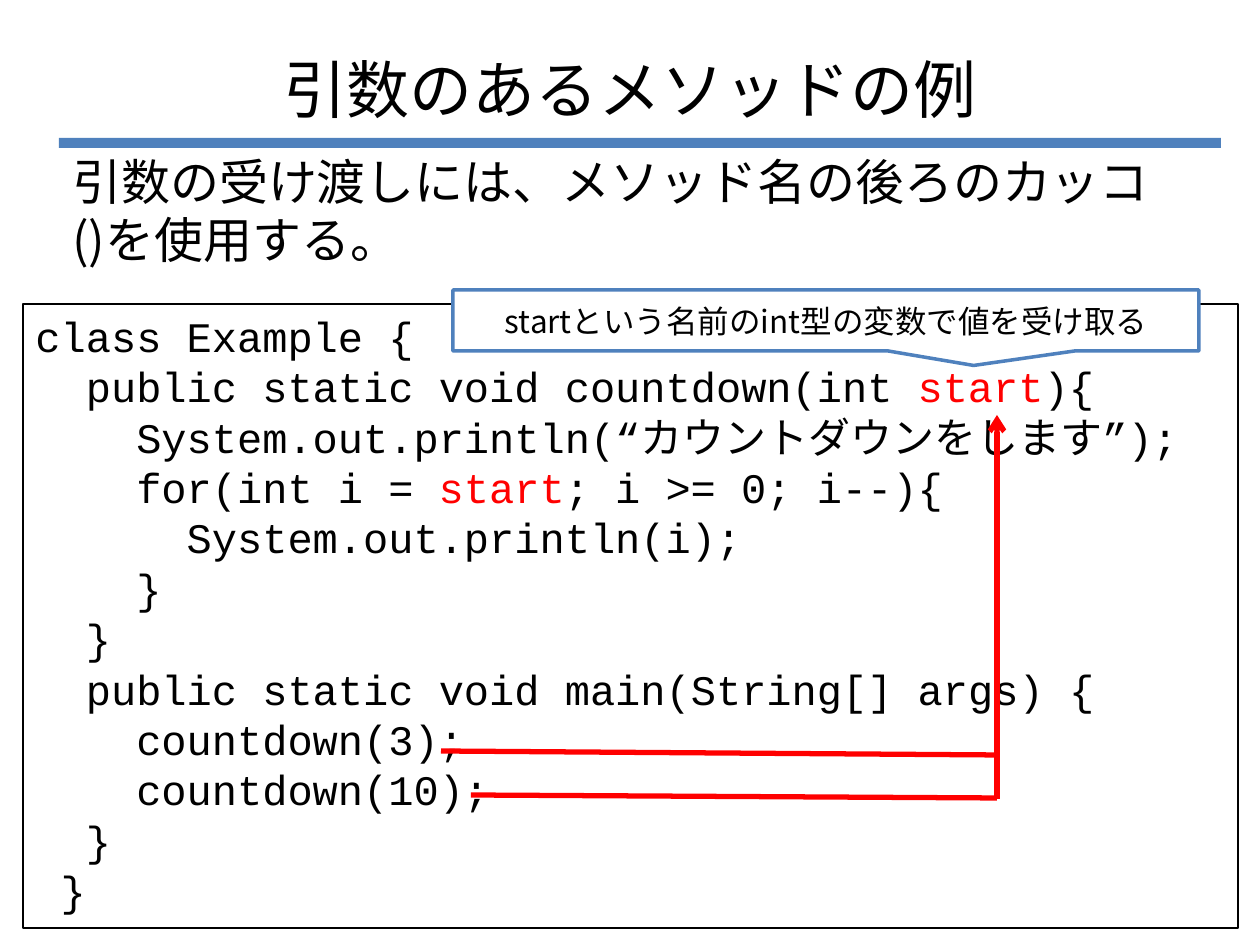
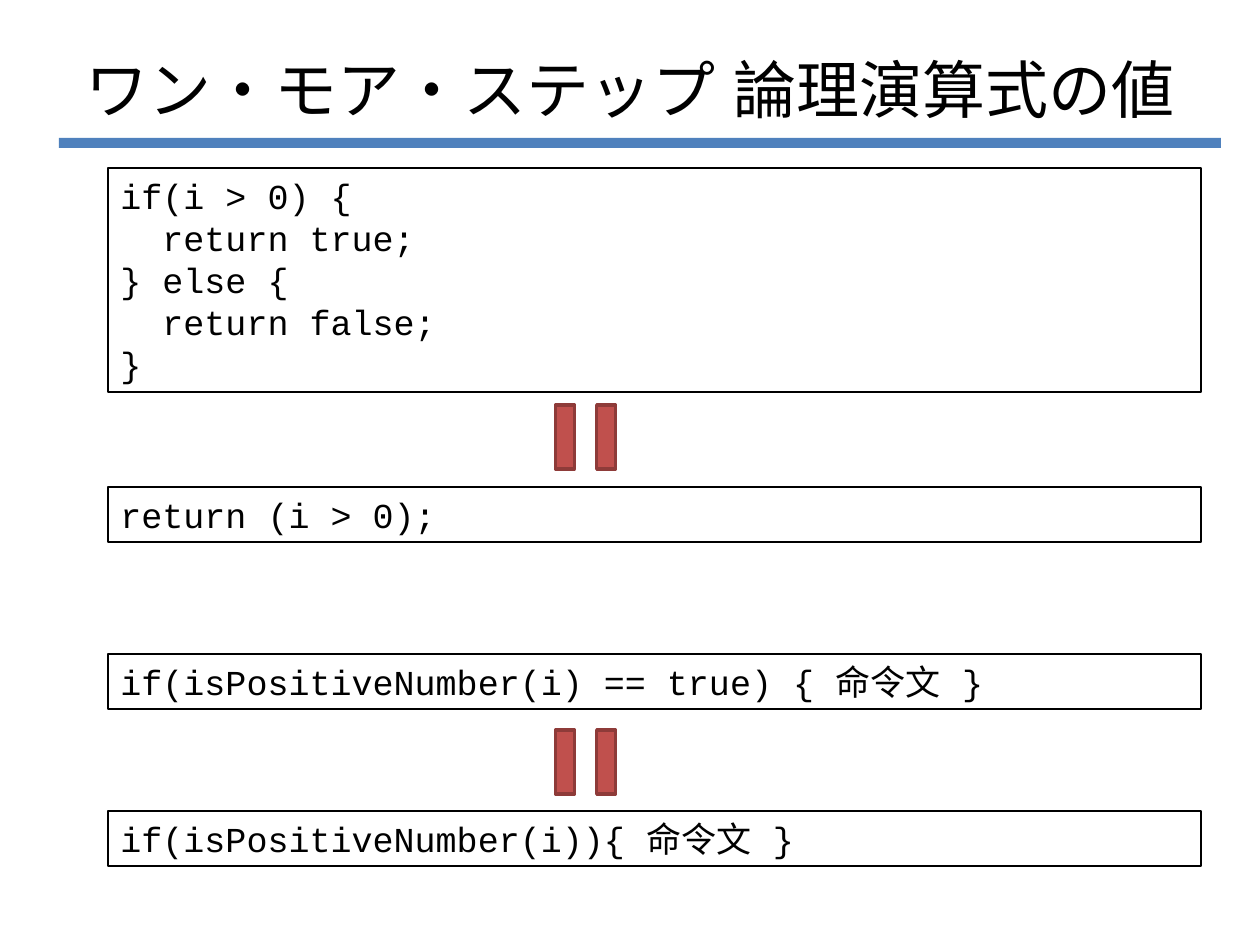
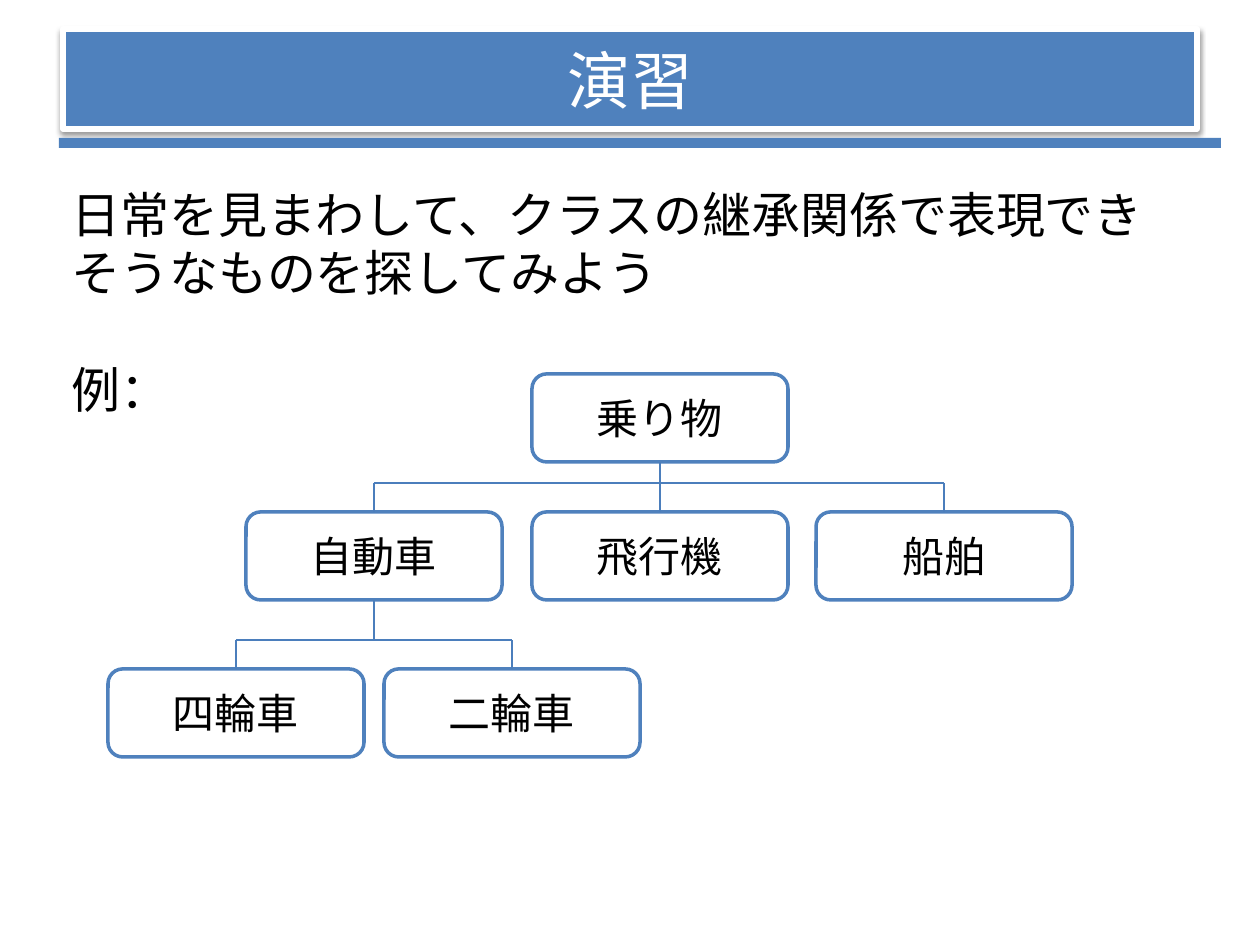
from lxml import etree
from pptx import Presentation
from pptx.dml.color import RGBColor
from pptx.enum.shapes import MSO_CONNECTOR, MSO_SHAPE
from pptx.enum.text import MSO_ANCHOR, PP_ALIGN
from pptx.oxml import parse_xml
from pptx.oxml.ns import nsdecls, qn
from pptx.util import Emu, Pt

BLACK = RGBColor(0x00, 0x00, 0x00)
WHITE = RGBColor(0xFF, 0xFF, 0xFF)
RED = RGBColor(0xFF, 0x00, 0x00)
BLUE = RGBColor(0x4F, 0x81, 0xBD)
TREE_BLUE = RGBColor(0x4B, 0x7E, 0xBC)
BRICK = RGBColor(0xC0, 0x50, 0x4D)
DARK_BRICK = RGBColor(0x8E, 0x3B, 0x39)
SANS, JAPANESE, CODE = "Arial", "Noto Sans CJK JP", "Courier New"
PX = 914400 / 126  # EMU in one px


def write(shape, text, size, font=JAPANESE, color=BLACK, align=PP_ALIGN.LEFT,
          anchor=MSO_ANCHOR.TOP, gap=0, highlight=None):
    """Fill a shape, one paragraph a line; the highlighted word turns red."""
    frame = shape.text_frame
    frame.word_wrap = True
    frame.vertical_anchor = anchor
    for number, line in enumerate(text.split("\n")):
        paragraph = frame.add_paragraph() if number else frame.paragraphs[0]
        paragraph.alignment = align
        paragraph.line_spacing = Pt(size * 1.2)
        paragraph.space_before = Pt(gap if number else 0)
        for part in line.partition(highlight) if highlight else [line]:
            if not part:
                continue
            run = paragraph.add_run()
            run.text = part
            run.font.size = Pt(size)
            run.font.name = font
            run.font.color.rgb = RED if part == highlight else color
            east_asian = etree.SubElement(run.font._element, qn("a:ea"))
            east_asian.set("typeface", font)


def connect(slide, start, end, color, width):
    """Draw a straight line between two points."""
    ends = [Emu(round(n * PX)) for n in (*start, *end)]
    line = slide.shapes.add_connector(MSO_CONNECTOR.STRAIGHT, *ends)
    line.line.color.rgb = color
    line.line.width = Pt(width)
    etree.SubElement(line._element.spPr, qn("a:effectLst"))
    return line


deck = Presentation()
deck.slide_width, deck.slide_height = Emu(round(1260 * PX)), Emu(round(945 * PX))

# Titles and the band under them
slides = []
for heading, top, font, color in [
    ("引数のあるメソッドの例", 38, SANS, BLACK),
    ("ワン・モア・ステップ 論理演算式の値", 38, SANS, BLACK),
    ("演習", 29, JAPANESE, WHITE),
]:
    slide = deck.slides.add_slide(deck.slide_layouts[5])
    title = slide.shapes.title
    title.left, title.top, title.width, title.height = [
        Emu(round(n * PX)) for n in (63, top, 1134, 100)]
    write(title, heading, 36, font=font, color=color,
          align=PP_ALIGN.CENTER, anchor=MSO_ANCHOR.MIDDLE)
    band = slide.shapes.add_shape(
        MSO_SHAPE.RECTANGLE, *[Emu(round(n * PX)) for n in (59, 138, 1162, 10)])
    band.shadow.inherit = False
    band.fill.solid()
    band.fill.fore_color.rgb = BLUE
    band.line.fill.background()
    slides.append(slide)
arguments, logic, exercise = slides

# Plain text
for slide, box, text, font in [
    (arguments, (60, 145, 1134, 158),
     "引数の受け渡しには、メソッド名の後ろのカッコ()を使用する。", JAPANESE),
    (exercise, (59, 178, 1142, 251),
     "日常を見まわして、クラスの継承関係で表現できそうなものを探してみよう\n例：", SANS),
]:
    body = slide.shapes.add_textbox(*[Emu(round(n * PX)) for n in box])
    write(body, text, 28, font=font, gap=33)

# Framed code, with room on the right for the longest line
countdown_code = """class Example {
  public static void countdown(int start){
    System.out.println(“カウントダウンをします”);
    for(int i = start; i >= 0; i--){
      System.out.println(i);
    }
  }
  public static void main(String[] args) {
    countdown(3);
    countdown(10);
  }
 }"""
branch_code = """if(i > 0) {
  return true;
} else {
  return false;
}"""
for slide, box, text, size in [
    (arguments, (23, 304, 1215, 624), countdown_code, 24),
    (logic, (108, 168, 1093, 224), branch_code, 20),
    (logic, (108, 487, 1093, 55), "return (i > 0);", 20),
    (logic, (108, 654, 1093, 55), "if(isPositiveNumber(i) == true) { 命令文 }", 20),
    (logic, (108, 811, 1093, 55), "if(isPositiveNumber(i)){ 命令文 }", 20),
]:
    code = slide.shapes.add_textbox(*[Emu(round(n * PX)) for n in box])
    code.line.color.rgb = BLACK
    code.line.width = Pt(0.75)
    code.text_frame.margin_right = 0
    write(code, text, size, font=CODE, highlight="start")

# Callout and class names, all white with a blue outline
NODE_W, NODE_H = 256, 88
classes = [("乗り物", 532, 374), ("自動車", 246, 512), ("飛行機", 532, 512),
           ("船舶", 816, 512), ("四輪車", 108, 669), ("二輪車", 384, 669)]
labels = [(arguments, MSO_SHAPE.RECTANGULAR_CALLOUT, (453, 290, 746, 61),
           "startという名前のint型の変数で値を受け取る", 18)]
labels += [(exercise, MSO_SHAPE.ROUNDED_RECTANGLE, (left, top, NODE_W, NODE_H), name, 24)
           for name, left, top in classes]
for slide, outline, box, text, size in labels:
    label = slide.shapes.add_shape(outline, *[Emu(round(n * PX)) for n in box])
    label.shadow.inherit = False
    label.fill.solid()
    label.fill.fore_color.rgb = WHITE
    label.line.color.rgb = BLUE
    label.line.width = Pt(2)
    if outline == MSO_SHAPE.RECTANGULAR_CALLOUT:
        label.adjustments[0], label.adjustments[1] = 0.198, 0.738
    write(label, text, size, align=PP_ALIGN.CENTER, anchor=MSO_ANCHOR.MIDDLE)

# Arguments travelling from the calls up to the parameter
parameter_arrow = connect(arguments, (997, 755), (997, 415), RED, 3)
etree.SubElement(parameter_arrow.line._get_or_add_ln(), qn("a:tailEnd")).set("type", "arrow")
for start, end in [((441, 751), (997, 755)), ((471, 795), (997, 798)),
                   ((997, 799), (997, 752))]:
    connect(arguments, start, end, RED, 3)

# Upright equal signs between equivalent code
for top in (708, 383):
    equal = logic.shapes.add_shape(
        MSO_SHAPE.MATH_EQUAL, *[Emu(round(n * PX)) for n in (542, top, 87, 108)])
    equal.rotation = 90
    equal.adjustments[0], equal.adjustments[1] = 0.175, 0.207
    equal.shadow.inherit = False
    equal.fill.solid()
    equal.fill.fore_color.rgb = BRICK
    equal.line.color.rgb = DARK_BRICK
    equal.line.width = Pt(2)

# Branches of the class tree
for parent_x, parent_bottom, bus_y, child_top, child_xs in [
    (660, 462, 483, 512, (374, 660, 944)),
    (374, 600, 640, 669, (236, 512)),
]:
    connect(exercise, (parent_x, bus_y), (parent_x, parent_bottom), TREE_BLUE, 0.75)
    connect(exercise, (child_xs[0], bus_y), (child_xs[-1], bus_y), TREE_BLUE, 0.75)
    for child_x in child_xs:
        connect(exercise, (child_x, child_top), (child_x, bus_y), TREE_BLUE, 0.75)

# Raised title of the exercise
banner = exercise.shapes.title
banner.fill.solid()
banner.fill.fore_color.rgb = BLUE
banner.line.color.rgb = WHITE
banner.line.width = Pt(3)
banner._element.spPr.append(parse_xml(
    f'<a:effectLst {nsdecls("a")}>'
    '<a:outerShdw blurRad="40000" dist="20000" dir="5400000" rotWithShape="0">'
    '<a:srgbClr val="000000"><a:alpha val="38000"/></a:srgbClr>'
    '</a:outerShdw></a:effectLst>'))

deck.save("out.pptx")
